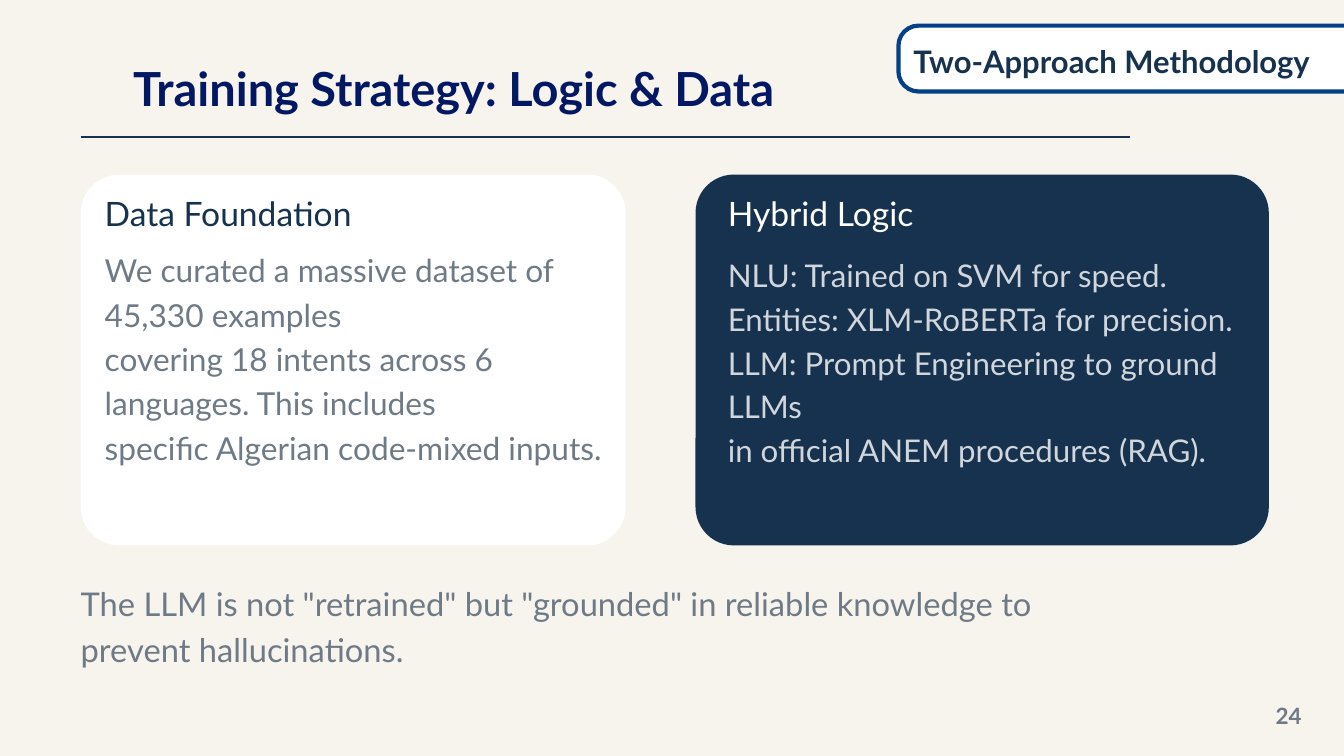
from lxml.etree import SubElement
from pptx import Presentation
from pptx.dml.color import RGBColor
from pptx.enum.shapes import MSO_CONNECTOR, MSO_SHAPE
from pptx.enum.text import PP_ALIGN
from pptx.oxml.ns import qn
from pptx.util import Cm, Pt

COLORS = {
    "cream": "F7F3ED",
    "white": "FFFFFF",
    "navy": "16324F",
    "title": "031862",
    "border": "034088",
    "gray": "6E7A86",
    "silver": "D0D6DC",
}


def rgb(name):
    return RGBColor.from_string(COLORS[name])


class SlideStyle:
    font = "Lato"
    line_ratio = 1.4

    def __init__(self, slide, background):
        self.slide = slide
        slide.background.fill.solid()
        slide.background.fill.fore_color.rgb = rgb(background)

    def panel(self, left, top, width, height, fill, radius, border=None):
        panel = self.slide.shapes.add_shape(
            MSO_SHAPE.ROUNDED_RECTANGLE, Cm(left), Cm(top), Cm(width), Cm(height))
        panel.adjustments[0] = radius / height
        panel.shadow.inherit = False
        panel.fill.solid()
        panel.fill.fore_color.rgb = rgb(fill)
        if border:
            panel.line.color.rgb = rgb(border)
            panel.line.width = Pt(4.5)
        else:
            panel.line.fill.background()

    def rule(self, left, y, width, color):
        rule = self.slide.shapes.add_connector(
            MSO_CONNECTOR.STRAIGHT, Cm(left), Cm(y), Cm(left + width), Cm(y))
        rule.line.color.rgb = rgb(color)
        rule.line.width = Pt(2.25)
        SubElement(rule._element.spPr, qn("a:effectLst"))

    def text(self, left, top, width, height, lines, size, color,
             bold=False, align=PP_ALIGN.LEFT):
        box = self.slide.shapes.add_textbox(Cm(left), Cm(top), Cm(width), Cm(height))
        frame = box.text_frame
        frame.word_wrap = True
        frame.margin_left = frame.margin_right = 0
        frame.margin_top = frame.margin_bottom = 0
        frame.text = "\n".join(lines)
        for paragraph in frame.paragraphs:
            paragraph.alignment = align
            paragraph.line_spacing = Pt(round(size * self.line_ratio, 1))
            for run in paragraph.runs:
                run.font.name = self.font
                run.font.size = Pt(size)
                run.font.bold = bold
                run.font.color.rgb = rgb(color)


def main():
    deck = Presentation()
    deck.slide_width, deck.slide_height = Cm(50.8), Cm(28.58)
    style = SlideStyle(deck.slides.add_slide(deck.slide_layouts[6]), "cream")

    margin, content_width = 3.05, 39.67
    card_top, card_height, heading_top = 6.6, 14.02, 7.04

    style.text(5.03, 1.9, 29.1, 2.39, ["Training Strategy: Logic & Data"],
               50.3, "title", bold=True)
    style.rule(margin, 5.19, content_width, "navy")

    cards = [
        (margin, 20.6, "white", 3.96, "Data Foundation", "navy",
         9.25, 19.66, 33.9, "gray",
         ["We curated a massive dataset of 45,330 examples",
          "covering 18 intents across 6 languages. This includes",
          "specific Algerian code-mixed inputs."]),
        (26.29, 21.67, "navy", 27.51, "Hybrid Logic", "white",
         9.45, 20.02, 33.5, "silver",
         ["NLU: Trained on SVM for speed.",
          "Entities: XLM-RoBERTa for precision.",
          "LLM: Prompt Engineering to ground LLMs",
          "in official ANEM procedures (RAG)."]),
    ]
    for (left, width, fill, text_left, heading, heading_color,
         body_top, body_width, body_size, body_color, body) in cards:
        style.panel(left, card_top, width, card_height, fill, 1.45)
        style.text(text_left, heading_top, 18.52, 1.73, [heading], 36, heading_color)
        style.text(text_left, body_top, body_width, 8.2, body, body_size, body_color)

    style.text(margin, 21.82, content_width, 3.38,
               ['The LLM is not "retrained" but "grounded" in reliable knowledge '
                'to prevent hallucinations.'], 35, "gray")
    style.text(47.09, 26.39, 2.11, 1.12, ["24"], 24, "gray",
               bold=True, align=PP_ALIGN.RIGHT)

    style.panel(33.96, 0.97, 20.45, 2.49, "white", 0.76, border="border")
    style.text(34.52, 1.37, 18.06, 1.55, ["Two-Approach Methodology"],
               33.2, "navy", bold=True)

    deck.save("out.pptx")


if __name__ == "__main__":
    main()
